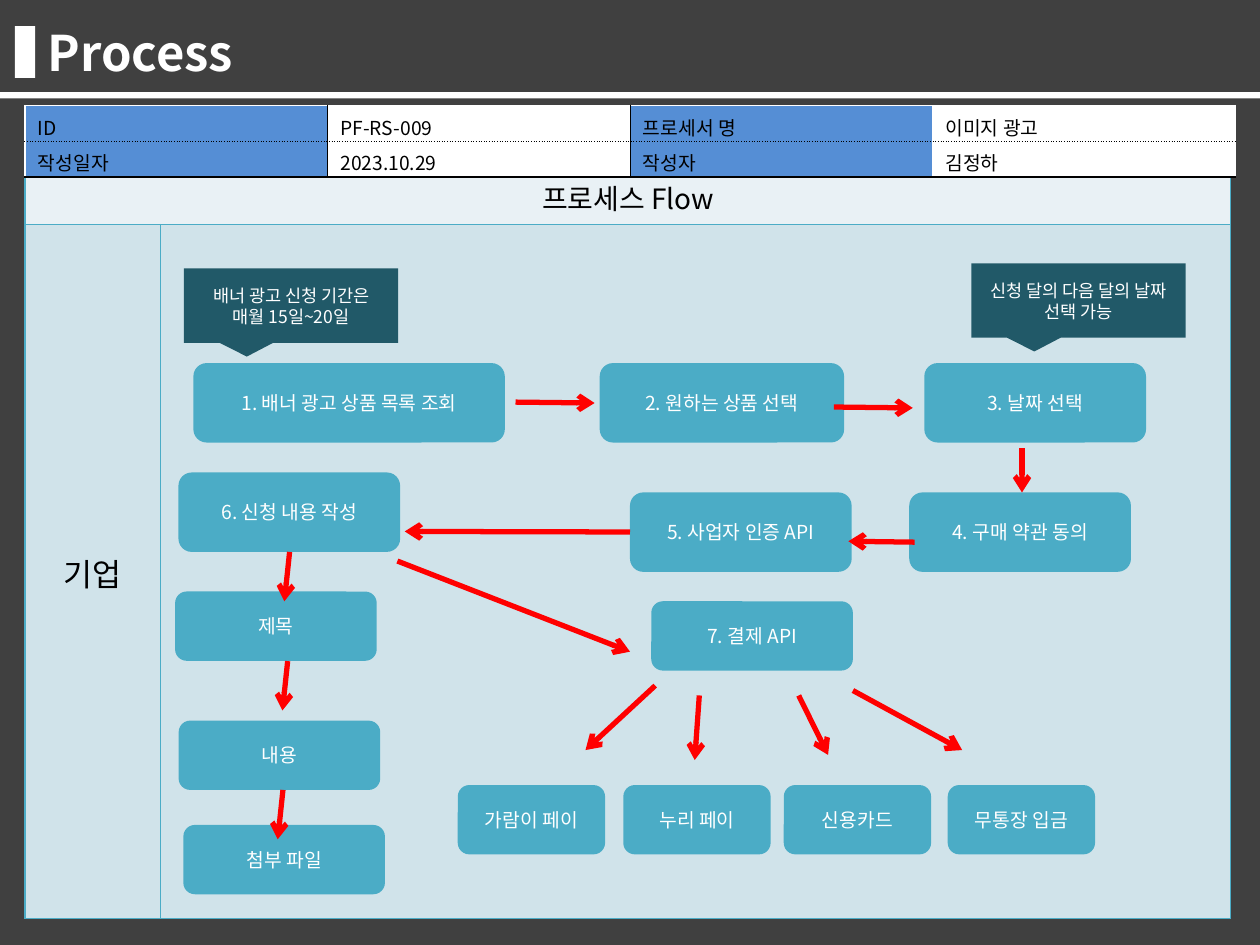
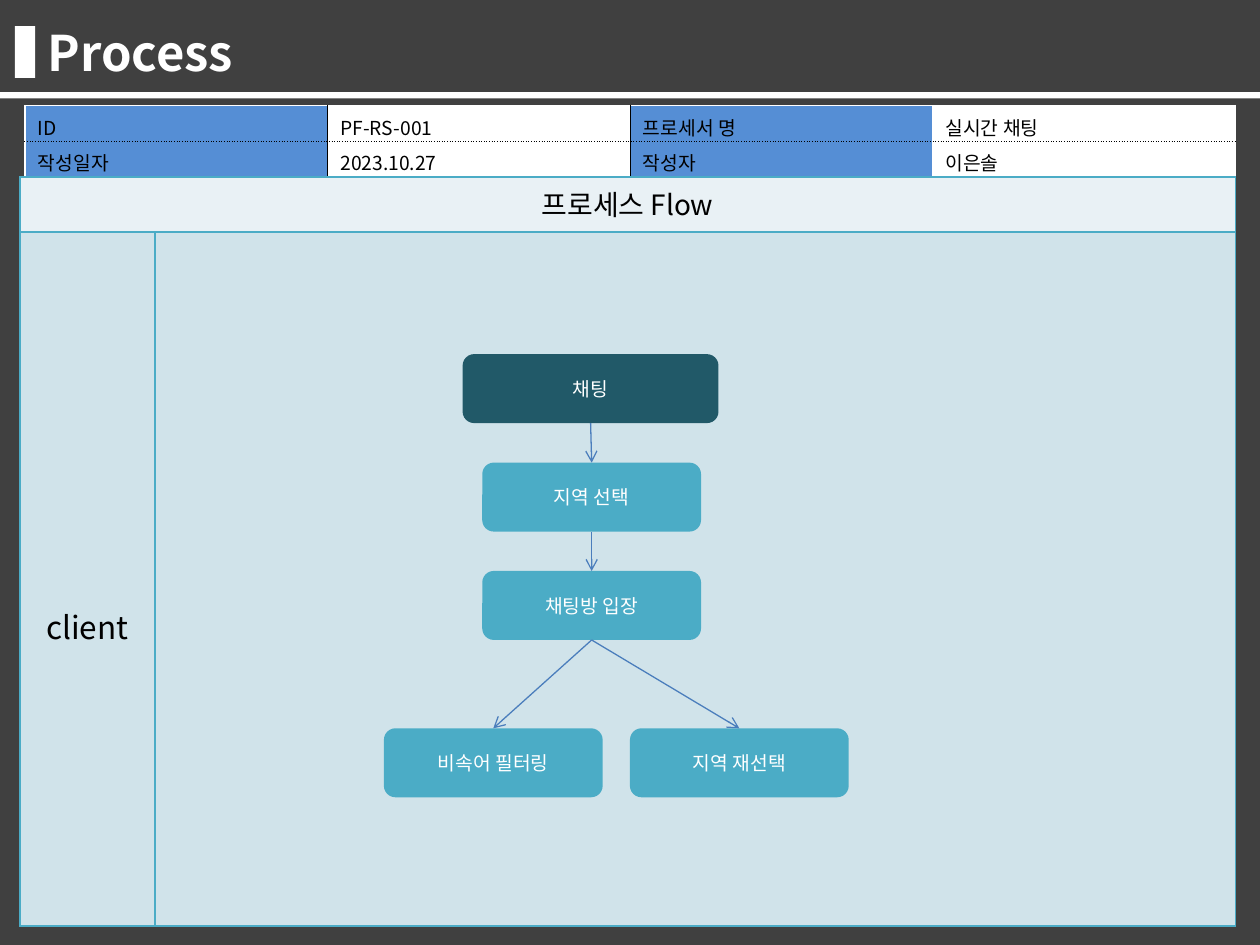
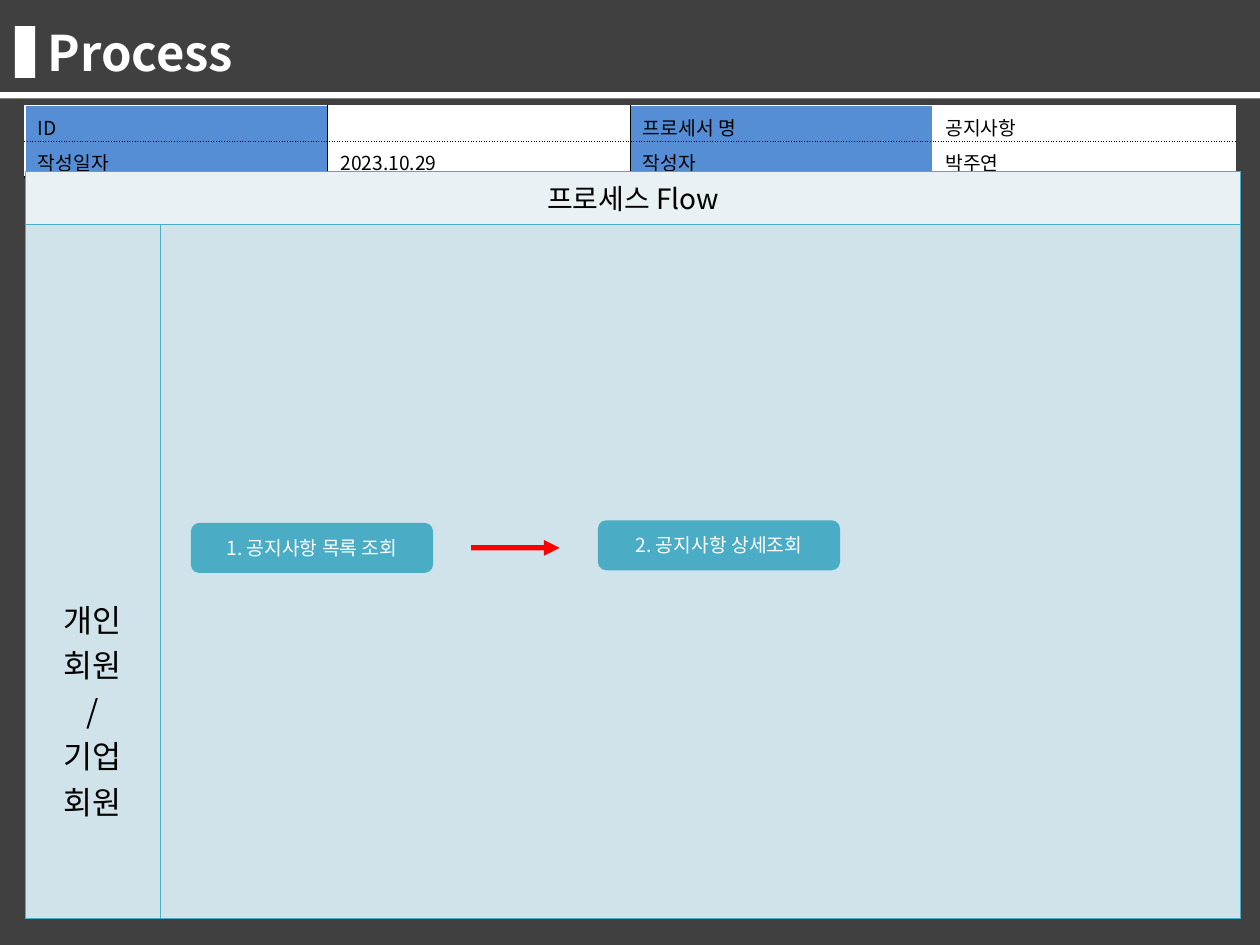
from pptx import Presentation
from pptx.dml.color import RGBColor
from pptx.enum.shapes import MSO_CONNECTOR, MSO_SHAPE
from pptx.enum.text import MSO_ANCHOR, PP_ALIGN
from pptx.oxml.ns import qn
from pptx.util import Pt
from lxml.etree import SubElement

FONT = "Noto Sans CJK KR"
WHITE, BLACK, DARK = "FFFFFF", "000000", "404040"
TEAL, DEEP, PALE, MIST = "4BACC6", "215968", "E9F1F5", "D0E3EA"
BLUE, RED, STEEL = "558ED5", "FF0000", "4B7EBC"
LINE = 26.06


def color(code):
    return RGBColor.from_string(code)


def paint(fill, code):
    fill.solid()
    fill.fore_color.rgb = color(code)


def write(frame, text, size, code, align=PP_ALIGN.LEFT, bold=False):
    frame.text = text
    for par in frame.paragraphs:
        par.alignment = align
        for run in par.runs:
            run.font.size = Pt(size)
            run.font.bold = bold
            run.font.name = FONT
            run.font.color.rgb = color(code)
            SubElement(run._r.rPr, qn("a:ea"), typeface=FONT)
        if not par.runs:
            SubElement(par._p, qn("a:endParaRPr"), sz=str(size * 100))


def shape(slide, kind, left, top, width, height, code):
    item = slide.shapes.add_shape(kind, Pt(left), Pt(top), Pt(width), Pt(height))
    item.shadow.inherit = False
    paint(item.fill, code)
    item.line.fill.background()
    return item


def label(item, text, size):
    frame = item.text_frame
    frame.word_wrap = True
    frame.vertical_anchor = MSO_ANCHOR.MIDDLE
    write(frame, text, size, WHITE, PP_ALIGN.CENTER)


def box(slide, text, left, top, width, height, code=TEAL):
    label(shape(slide, MSO_SHAPE.ROUNDED_RECTANGLE, left, top, width, height, code), text, 11)


def note(slide, text, left, top):
    item = shape(slide, MSO_SHAPE.RECTANGULAR_CALLOUT, left, top, 122.4, 42.5, DEEP)
    item.adjustments[0] = -0.206
    item.adjustments[1] = 0.685
    label(item, text, 10)


def arrow(slide, start, end, code=RED, width=3, head="arrow"):
    ends = [Pt(n) for n in (*start, *end)]
    item = slide.shapes.add_connector(MSO_CONNECTOR.STRAIGHT, *ends)
    item.line.color.rgb = color(code)
    item.line.width = Pt(width)
    SubElement(item.line._get_or_add_ln(), qn("a:tailEnd"), type=head)
    SubElement(item._element.spPr, qn("a:effectLst"))


def border(cell, sides):
    props = cell._tc.get_or_add_tcPr()
    for spot, side in enumerate("LRTB"):
        code, dash = sides[side]
        line = SubElement(props, qn("a:ln" + side), w=str(Pt(1)))
        fill = SubElement(line, qn("a:solidFill"))
        SubElement(fill, qn("a:srgbClr"), val=code)
        SubElement(line, qn("a:prstDash"), val=dash)
        props.insert(spot, line)


def grid(slide, left, top, cols, rows):
    size = [Pt(n) for n in (left, top, sum(cols), sum(rows))]
    table = slide.shapes.add_table(len(rows), len(cols), *size).table
    table.first_row = table.horz_banding = False
    for col, width in zip(table.columns, cols):
        col.width = Pt(width)
    for row, height in zip(table.rows, rows):
        row.height = Pt(height)
    return table


def info(slide, code, name, date, author):
    table = grid(slide, 14.4, 60.4, [172.9] * 4, [20.4] * 2)
    texts = [["ID", code, "프로세서 명", name], ["작성일자", date, "작성자", author]]
    walls = [(c, "solid") for c in (WHITE, BLACK, BLACK, WHITE, WHITE)]
    floors = [(WHITE, "solid"), (BLACK, "sysDot"), (BLACK, "solid")]
    for r, row in enumerate(texts):
        for c, text in enumerate(row):
            cell = table.cell(r, c)
            cell.margin_top, cell.margin_bottom = Pt(4), Pt(0)
            write(cell.text_frame, text, 11, BLACK)
            paint(cell.fill, WHITE if c % 2 else BLUE)
            border(cell, {"L": walls[c], "R": walls[c + 1], "T": floors[r], "B": floors[r + 1]})


def flow(slide, actor, skip, left, top, width, head=30.4):
    table = grid(slide, left, top, [77.2, width - 77.2], [head, 396.6])
    table.cell(0, 0).merge(table.cell(0, 1))
    for r, code in enumerate((PALE, MIST)):
        for c in range(2):
            cell = table.cell(r, c)
            paint(cell.fill, code)
            border(cell, dict.fromkeys("LRTB", (TEAL, "solid")))
    write(table.cell(0, 0).text_frame, "프로세스 Flow", 16, BLACK, PP_ALIGN.CENTER)
    side = table.cell(1, 0)
    side.margin_top = Pt(3.6 + skip * LINE)
    write(side.text_frame, actor, 18, BLACK, PP_ALIGN.CENTER)


def page(deck):
    slide = deck.slides.add_slide(deck.slide_layouts[6])
    shape(slide, MSO_SHAPE.RECTANGLE, 0, 0, 720, 540, DARK)
    title = slide.shapes.add_textbox(Pt(20.2), Pt(9.4), Pt(646.6), Pt(41))
    title.text_frame.word_wrap = True
    title.text_frame.vertical_anchor = MSO_ANCHOR.MIDDLE
    write(title.text_frame, "Process", 28, WHITE, bold=True)
    shape(slide, MSO_SHAPE.RECTANGLE, 8.6, 15, 11.5, 29.5, WHITE)
    shape(slide, MSO_SHAPE.RECTANGLE, 0, 52.6, 720, 3.6, WHITE)
    return slide


def banner(deck):
    slide = page(deck)
    flow(slide, "기업", 7, 14.4, 97.9, 688.8)
    info(slide, "PF-RS-009", "이미지 광고", "2023.10.29", "김정하")
    note(slide, "배너 광고 신청 기간은 매월 15일~20일", 105.1, 153.4)
    note(slide, "신청 달의 다음 달의 날짜 선택 가능", 555.1, 150.5)
    steps = [
        ("1. 배너 광고 상품 목록 조회", 110.5, 207.5, 178),
        ("2. 원하는 상품 선택", 342.7, 207.5, 139.7),
        ("3. 날짜 선택", 528.2, 207.5, 126.7),
        ("4. 구매 약관 동의", 519.6, 281.4, 126.7),
        ("5. 사업자 인증 API", 360, 281.4, 126.7),
        ("6. 신청 내용 작성", 102, 270, 126.7),
    ]
    for step in steps:
        box(slide, *step, 45.4)
    parts = [
        ("제목", 100.1, 338),
        ("내용", 102.1, 411.8),
        ("첨부 파일", 104.8, 471.4),
        ("7. 결제 API", 372.2, 343.6),
    ]
    for part in parts:
        box(slide, *part, 115.2, 39.6)
    pays = [("가람이 페이", 261.6), ("누리 페이", 356.2), ("신용카드", 447.9), ("무통장 입금", 541.6)]
    for text, left in pays:
        box(slide, text, left, 448.6, 84.2, 39.6)
    links = [
        ((294.6, 229.8), (339.8, 230.3)),
        ((476.5, 232.6), (521.6, 233.1)),
        ((584, 256.2), (584, 281.4)),
        ((522.6, 309.8), (484.8, 309.3)),
        ((360, 304), (231.3, 303.7)),
        ((227.1, 320.6), (360, 372.4)),
        ((165.5, 315.4), (162.5, 343.6)),
        ((164.4, 377.8), (161.4, 406)),
        ((161.7, 451.4), (158.7, 479.6)),
        ((374.4, 391.8), (334.6, 428.6)),
        ((399.6, 397.4), (397, 434.3)),
        ((456.4, 397.4), (473.2, 431.4)),
        ((487.4, 394.6), (549.8, 428.6)),
    ]
    for link in links:
        arrow(slide, *link)


def chat(deck):
    slide = page(deck)
    info(slide, "PF-RS-001", "실시간 채팅", "2023.10.27", "이은솔")
    flow(slide, "client", 8, 11.3, 101.2, 694.6, 31.4)
    wide, high, mid = 125, 39.4, 338.1
    box(slide, "채팅", 264.4, 202.4, 146.2, high, DEEP)
    steps = [
        ("지역 선택", mid, 264.4),
        ("채팅방 입장", mid, 326.3),
        ("비속어 필터링", 281.9, 416.2),
        ("지역 재선택", 422.5, 416.2),
    ]
    for text, center, top in steps:
        box(slide, text, center - wide / 2, top, wide, high)
    arrow(slide, (337.5, 202.4 + high), (mid, 264.4), STEEL, 0.75)
    for start, goal in ((0, 1), (1, 2), (1, 3)):
        begin, end = steps[start], steps[goal]
        arrow(slide, (begin[1], begin[2] + high), end[1:], STEEL, 0.75)


def notice(deck):
    slide = page(deck)
    info(slide, "", "공지사항", "2023.10.29", "박주연")
    flow(slide, "개인\n회원\n/\n기업\n회원", 8, 14.5, 97.9, 694.4)
    box(slide, "2. 공지사항 상세조회", 341.7, 297.3, 138.4, 28.6)
    box(slide, "1. 공지사항 목록 조회", 109.1, 298.8, 138.4, 28.6)
    arrow(slide, (269.2, 313), (319.8, 313.1), head="triangle")


def main():
    deck = Presentation()
    deck.slide_width, deck.slide_height = Pt(720), Pt(540)
    banner(deck)
    chat(deck)
    notice(deck)
    deck.save("out.pptx")


main()
